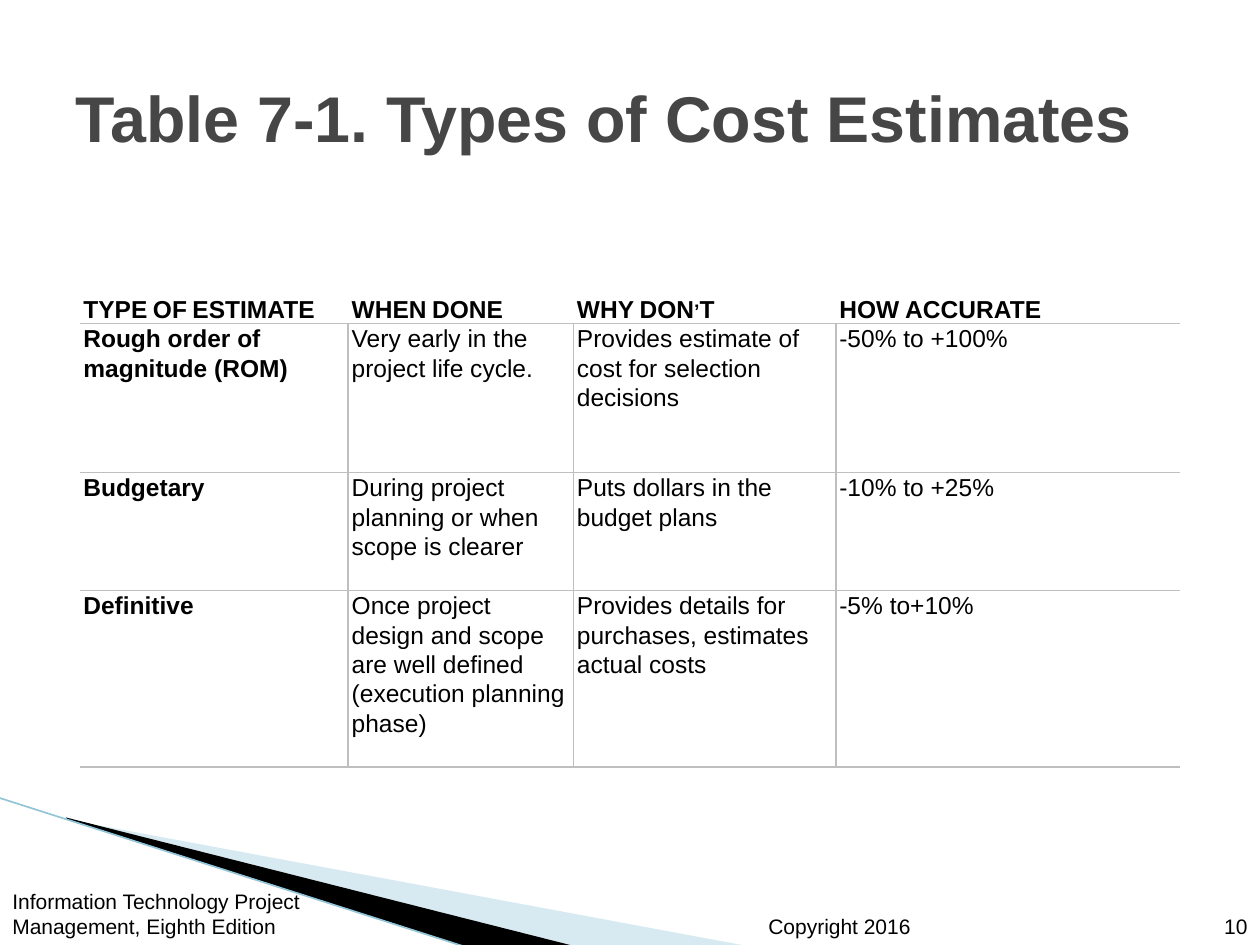
import pptx
import pptx.util
import pptx.dml.color
import pptx.enum.shapes
import pptx.enum.text
import pptx.oxml
import pptx.oxml.ns
from lxml import etree

Cm, Pt = pptx.util.Cm, pptx.util.Pt
RGBColor = pptx.dml.color.RGBColor
ANCHOR = pptx.enum.text.MSO_ANCHOR
ALIGN = pptx.enum.text.PP_ALIGN
qn = pptx.oxml.ns.qn

BLACK = RGBColor(0x00, 0x00, 0x00)
TITLE_GREY = RGBColor(0x46, 0x46, 0x46)
RULE_GREY = RGBColor(0xBE, 0xBF, 0xBF)
PALE_BLUE = RGBColor(0x9C, 0xCA, 0xDC)
EDGE_BLUE = RGBColor(0x93, 0xC5, 0xD8)
FONT = "Arial"
NO_TABLE_STYLE = "{2D5ABB26-0587-4C30-8999-92F81FD0307C}"

TITLE = "Table 7-1. Types of Cost Estimates"
ESTIMATES = [
    ("TYPE OF ESTIMATE", "WHEN DONE", "WHY DON’T", "HOW ACCURATE"),
    ("Rough order of magnitude (ROM)", "Very early in the project life cycle.",
     "Provides estimate of cost for selection decisions", "-50% to +100%"),
    ("Budgetary", "During project planning or when scope is clearer",
     "Puts dollars in the budget plans", "-10% to +25%"),
    ("Definitive",
     "Once project design and scope are well defined (execution planning phase)",
     "Provides details for purchases, estimates actual costs", "-5% to+10%"),
]
COLUMN_WIDTHS = [5.41, 4.54, 5.29, 6.93]
ROW_HEIGHTS = [0.59, 3.0, 2.38, 3.56]

# text, (left, top, width, height) in cm, alignment
FOOTERS = [
    ("Copyright 2016", (15.24, 18.03, 4.45, 1.02), ALIGN.LEFT),
    ("Information Technology Project Management, Eighth Edition",
     (0, 17.58, 7.42, 1.47), ALIGN.LEFT),
    ("10", (23.85, 18.03, 1.55, 1.02), ALIGN.RIGHT),
]

# frame (left, top, width, height) and corner points in cm, colour, opacity in percent
WEDGES = [
    ((1.98, 13.89, 10.57, 4.01),
     [(1.4, 16.53), (15.11, 19.08), (11.58, 19.08), (1.4, 16.51)], PALE_BLUE, 40),
    ((-0.15, 16.08, 10.57, 2.34),
     [(1.33, 16.48), (11.61, 19.08), (9.45, 19.1), (1.35, 16.51)], BLACK, 100),
]
EDGE = [(-0.03, 16.08), (9.42, 19.1)]


def add_run(paragraph, text, size, color=BLACK, bold=False):
    run = paragraph.add_run()
    run.text = text
    run.font.name = FONT
    run.font.size = Pt(size)
    run.font.bold = bold
    run.font.color.rgb = color
    return run


def set_frame(wedge, frame):
    """Give the wedge its frame while its corners, some outside it, stay in place."""
    left, top, width, height = map(Cm, frame)
    outline = wedge._element.spPr.find(".//" + qn("a:pathLst"))[0]
    outline.set("w", str(width))
    outline.set("h", str(height))
    for point in outline.iter(qn("a:pt")):
        point.set("x", str(int(point.get("x")) + wedge.left - left))
        point.set("y", str(int(point.get("y")) + wedge.top - top))
    wedge.left, wedge.top, wedge.width, wedge.height = left, top, width, height


def add_wedge(slide, frame, points, color, opacity):
    corners = [(Cm(x), Cm(y)) for x, y in points]
    builder = slide.shapes.build_freeform(*corners[0])
    builder.add_line_segments(corners[1:], close=True)
    wedge = builder.convert_to_shape()
    set_frame(wedge, frame)
    wedge.shadow.inherit = False
    wedge.line.fill.background()
    wedge.fill.solid()
    wedge.fill.fore_color.rgb = color
    if opacity < 100:
        tint = wedge._element.spPr.find(".//" + qn("a:srgbClr"))
        etree.SubElement(tint, qn("a:alpha")).set("val", str(opacity * 1000))


def add_edge(slide):
    (x1, y1), (x2, y2) = EDGE
    edge = slide.shapes.add_connector(
        pptx.enum.shapes.MSO_CONNECTOR.STRAIGHT, Cm(x1), Cm(y1), Cm(x2), Cm(y2))
    edge.line.color.rgb = EDGE_BLUE
    edge.line.width = Pt(0.95)
    etree.SubElement(edge._element.spPr, qn("a:effectLst"))


def set_title(slide):
    title = slide.shapes.title
    title.left, title.top, title.width, title.height = Cm(1.27), Cm(0.76), Cm(22.86), Cm(3.18)
    frame = title.text_frame
    frame.auto_size = pptx.enum.text.MSO_AUTO_SIZE.NONE
    frame.vertical_anchor = ANCHOR.MIDDLE
    frame.paragraphs[0].alignment = ALIGN.LEFT
    add_run(frame.paragraphs[0], TITLE, 36.9, TITLE_GREY, bold=True)


def set_borders(cell, sides):
    """Draw the given sides, which must be in the order L, R, T, B."""
    properties = cell._tc.get_or_add_tcPr()
    for position, side in enumerate(sides):
        border = etree.Element(qn("a:ln" + side), w=str(Pt(1)))
        fill = etree.SubElement(border, qn("a:solidFill"))
        etree.SubElement(fill, qn("a:srgbClr")).set("val", str(RULE_GREY))
        properties.insert(position, border)


def add_estimates(slide):
    table = slide.shapes.add_table(
        len(ROW_HEIGHTS), len(COLUMN_WIDTHS), Cm(1.61), Cm(5.93),
        Cm(sum(COLUMN_WIDTHS)), Cm(sum(ROW_HEIGHTS))).table
    table.horz_banding = False
    table._tbl.tblPr.find(qn("a:tableStyleId")).text = NO_TABLE_STYLE
    for column, width in zip(table.columns, COLUMN_WIDTHS):
        column.width = Cm(width)
    for row, height in zip(table.rows, ROW_HEIGHTS):
        row.height = Cm(height)

    last = len(COLUMN_WIDTHS) - 1
    for r, texts in enumerate(ESTIMATES):
        for c, text in enumerate(texts):
            cell = table.cell(r, c)
            cell.margin_left = cell.margin_right = Cm(0.07)
            cell.margin_top = cell.margin_bottom = 0
            cell.fill.background()
            paragraph = cell.text_frame.paragraphs[0]
            paragraph.line_spacing = 1.07
            run = add_run(paragraph, text, 14, bold=r == 0 or c == 0)
            if r == 0:
                if c < last:
                    run.font._element.set("cap", "small")
                set_borders(cell, "B")
            else:
                sides = ("L" if c > 0 else "") + ("R" if c < last else "") + "TB"
                set_borders(cell, sides)


def add_footer(slide, text, place, alignment):
    frame = slide.shapes.add_textbox(*map(Cm, place)).text_frame
    frame.word_wrap = True
    frame.vertical_anchor = ANCHOR.BOTTOM
    frame.paragraphs[0].alignment = alignment
    add_run(frame.paragraphs[0], text, 12)


def main():
    deck = pptx.Presentation()
    deck.slide_width, deck.slide_height = Cm(25.4), Cm(19.05)
    slide = deck.slides.add_slide(deck.slide_layouts[5])
    for wedge in WEDGES:
        add_wedge(slide, *wedge)
    add_edge(slide)
    set_title(slide)
    add_estimates(slide)
    for footer in FOOTERS:
        add_footer(slide, *footer)
    deck.save("out.pptx")


if __name__ == "__main__":
    main()
